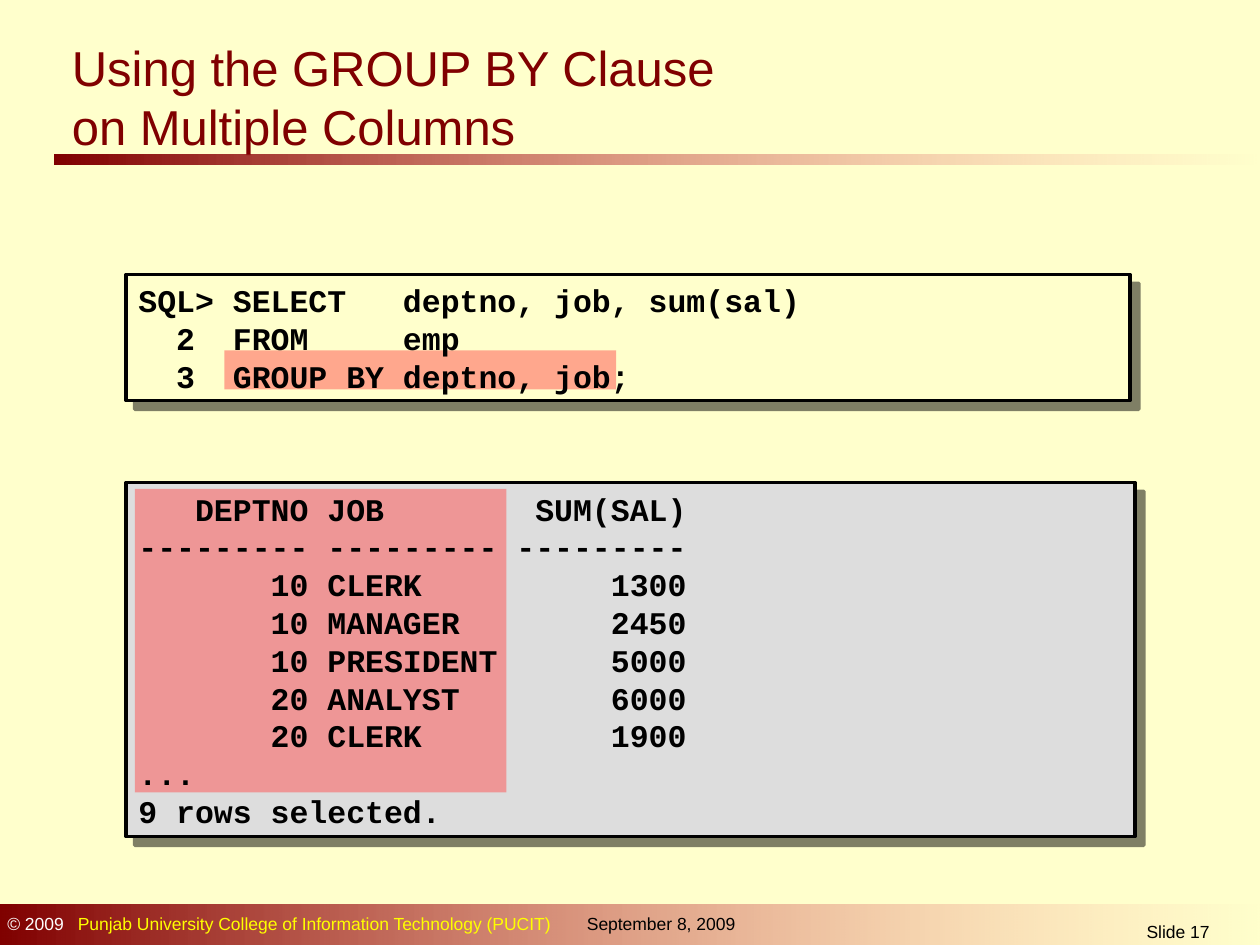
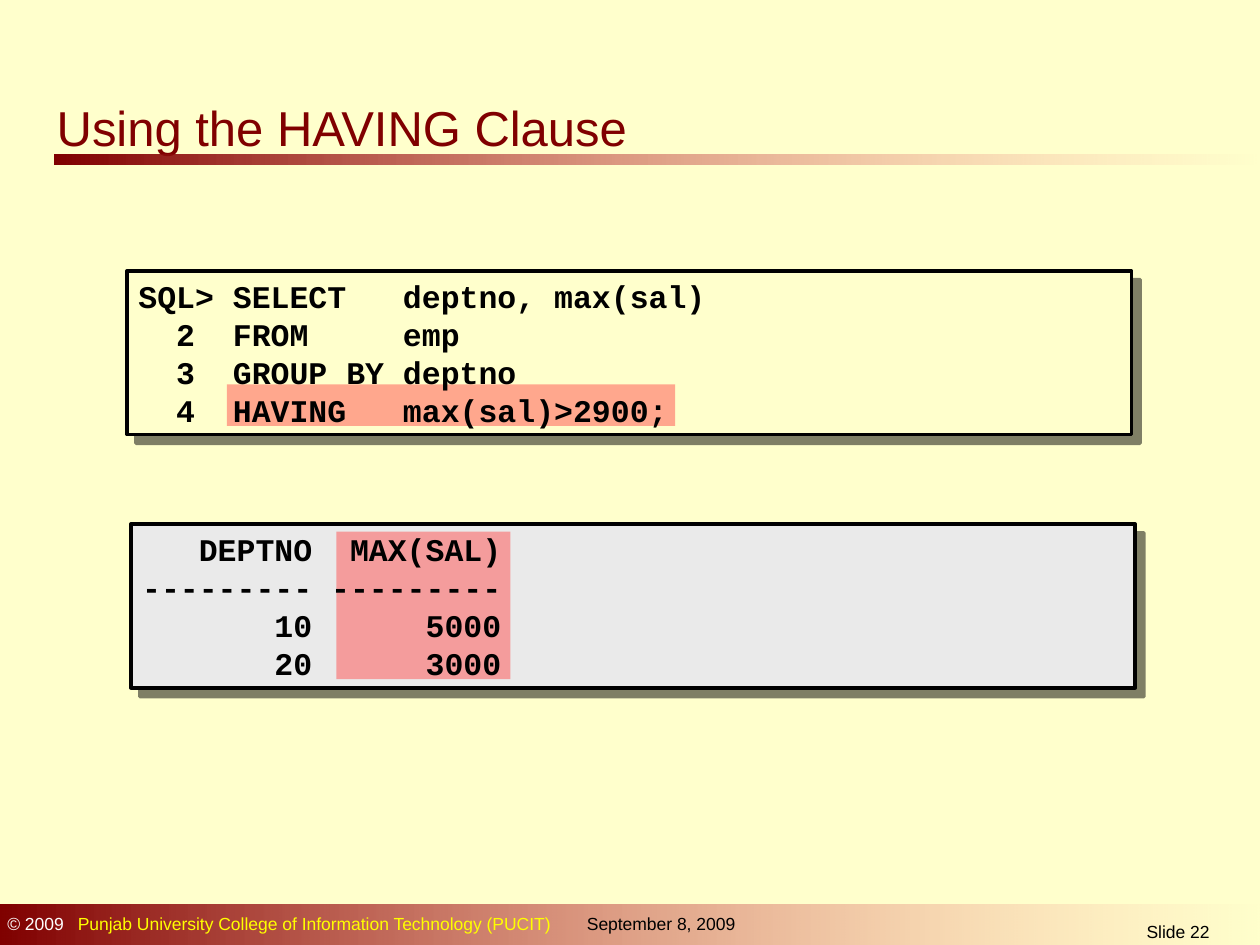
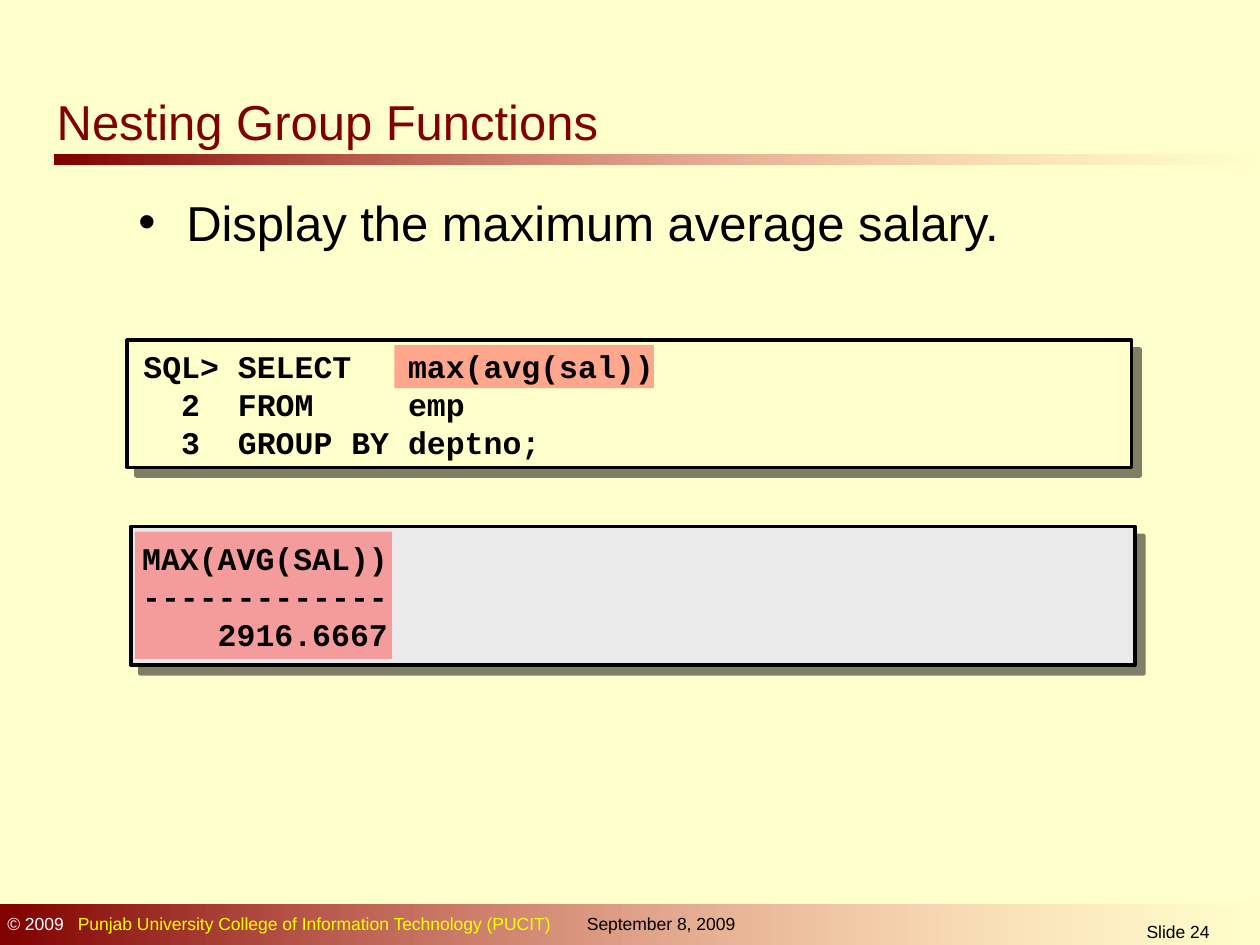
from lxml import etree
from pptx import Presentation
from pptx import util as u
from pptx.dml.color import RGBColor
from pptx.enum import shapes, text
from pptx.oxml.ns import qn

PX = 9144
CREAM, MAROON, ROSE = "FFFFCC", "800000", "FF8585"
BLACK, WHITE, YELLOW, RED = "000000", "FFFFFF", "FFFF00", "FF5050"
SILVER, PALE_GREY = "DDDDDD", "EAEAEA"
HEADING_SIZE, CODE_SIZE, FOOTER_SIZE = 28, 18, 10

SLIDES = [
    dict(
        number=17,
        title="Using the GROUP BY Clause\von Multiple Columns",
        title_box=(47, 25, 905, 133),
        panels=[
            dict(box=(100, 218, 797, 100), fill=CREAM, mark=(78, 60, 311, 31), code=[
                "SQL> SELECT   deptno, job, sum(sal)",
                "  2  FROM     emp",
                "  3  GROUP BY deptno, job;"]),
            dict(box=(100, 383, 801, 281), fill=SILVER, mark=(7, 5, 295, 241), code=[
                "   DEPTNO JOB        SUM(SAL)",
                "--------- --------- ---------",
                "       10 CLERK          1300",
                "       10 MANAGER        2450",
                "       10 PRESIDENT      5000",
                "       20 ANALYST        6000",
                "       20 CLERK          1900",
                "...",
                "9 rows selected."]),
        ]),
    dict(
        number=22,
        title="Using the HAVING Clause",
        title_box=(35, 72, 484, 59),
        panels=[
            dict(box=(101, 215, 797, 130), fill=CREAM, mark=(79, 90, 356, 33), shift=-1, code=[
                "SQL> SELECT   deptno, max(sal)",
                "  2  FROM     emp",
                "  3  GROUP BY deptno",
                "  4  HAVING   max(sal)>2900;"]),
            dict(box=(104, 416, 797, 130), fill=PALE_GREY, mark=(163, 6, 138, 117), shift=-1, code=[
                "   DEPTNO  MAX(SAL)",
                "--------- ---------",
                "       10      5000",
                "       20      3000"]),
        ]),
    dict(
        number=24,
        title="Nesting Group Functions",
        title_box=(35, 68, 460, 59),
        bullet="Display the maximum average salary.",
        panels=[
            dict(box=(101, 270, 797, 101), fill=CREAM, mark=(212, 4, 206, 34), shift=3, code=[
                "SQL> SELECT   max(avg(sal))",
                "  2  FROM     emp",
                "  3  GROUP BY deptno;"]),
            dict(box=(104, 418, 797, 110), fill=PALE_GREY, mark=(3, 4, 204, 101), shift=-1, code=[
                "MAX(AVG(SAL))",
                "-------------",
                "    2916.6667"]),
        ]),
]


def rgb(value):
    """Turn a hex string into a colour."""
    return RGBColor.from_string(value)


def emu(box):
    """Scale a px box to EMU lengths."""
    return [u.Emu(length * PX) for length in box]


def add_alpha(colour, percent):
    """Set the opacity of a colour element."""
    etree.SubElement(colour, qn("a:alpha"), val=str(percent * 1000))


def format_run(run, size, colour, font, bold):
    """Give one run its font."""
    run.font.size, run.font.bold, run.font.name = u.Pt(size), bold, font
    run.font.color.rgb = rgb(colour)


def write(frame, lines, size=FOOTER_SIZE, colour=BLACK, font="Arial", bold=False,
          align=text.PP_ALIGN.LEFT, anchor=text.MSO_ANCHOR.TOP):
    """Fill a text frame with formatted lines."""
    frame.word_wrap, frame.auto_size = True, text.MSO_AUTO_SIZE.NONE
    frame.vertical_anchor = anchor
    for index, line in enumerate(lines):
        paragraph = frame.paragraphs[0] if index == 0 else frame.add_paragraph()
        paragraph.text, paragraph.alignment = line, align
        for run in paragraph.runs:
            format_run(run, size, colour, font, bold)
    return frame.paragraphs[0]


def add_text(slide, box, lines, **style):
    """Add a text box and return its first paragraph."""
    return write(slide.shapes.add_textbox(*emu(box)).text_frame, lines, **style)


def add_rectangle(slide, box):
    """Add a rectangle without line or shadow."""
    rectangle = slide.shapes.add_shape(shapes.MSO_SHAPE.RECTANGLE, *emu(box))
    rectangle.shadow.inherit = False
    rectangle.line.fill.background()
    return rectangle


def add_band(slide, box):
    """Add a band that fades out to the right."""
    band = add_rectangle(slide, box)
    band.fill.gradient()
    band.fill.gradient_angle = 0
    for stop, colour in zip(band.fill.gradient_stops, (MAROON, ROSE)):
        stop.color.rgb = rgb(colour)
    add_alpha(list(band._element.spPr.iter(qn("a:srgbClr")))[-1], 0)


def add_footer(slide, box, number):
    """Add the footer band with owner, date and slide number."""
    left, top, _, _ = box
    add_band(slide, box)
    owner = add_text(slide, (left - 4, top + 2, 646, 27), ["© 2009"], colour=WHITE)
    tabs = etree.SubElement(owner._p.get_or_add_pPr(), qn("a:tabLst"))
    etree.SubElement(tabs, qn("a:tab"), pos=str(56 * PX), algn="l")
    college = owner.add_run()
    college.text = "\tPunjab University College of Information Technology (PUCIT)"
    format_run(college, FOOTER_SIZE, YELLOW, "Arial", False)
    add_text(slide, (left + 456, top + 2, 154, 27), ["September 8, 2009"])
    add_text(slide, (left + 831, top + 8, 208, 24), [f"Slide {number}"],
             align=text.PP_ALIGN.CENTER)


def add_title(slide, box, title):
    """Place and format the title placeholder."""
    heading = slide.shapes.title
    heading.left, heading.top, heading.width, heading.height = emu(box)
    write(heading.text_frame, [title], size=HEADING_SIZE, colour=MAROON)


def add_bullet(slide, box, line):
    """Add one bulleted line."""
    paragraph = add_text(slide, box, [line], size=HEADING_SIZE)
    properties = paragraph._p.get_or_add_pPr()
    properties.set("marL", str(38 * PX))
    properties.set("indent", str(-38 * PX))
    etree.SubElement(properties, qn("a:buFont"), typeface="Arial")
    etree.SubElement(properties, qn("a:buChar"), char="•")


def add_code_panel(slide, box, fill, mark, code, shift=0):
    """Add a shadowed panel, its highlight and the code over both."""
    left, top, _, height = box
    panel = add_rectangle(slide, box)
    panel.fill.solid()
    panel.fill.fore_color.rgb = rgb(fill)
    panel.line.color.rgb, panel.line.width = rgb(BLACK), u.Pt(2)
    shadow = etree.SubElement(panel._element.spPr.find(qn("a:effectLst")), qn("a:outerShdw"),
                              dist=str(u.Pt(7.1)), dir="2700000", algn="ctr", rotWithShape="0")
    add_alpha(etree.SubElement(shadow, qn("a:srgbClr"), val=BLACK), 50)

    mark_left, mark_top, *mark_size = mark
    highlight = add_rectangle(slide, (left + mark_left, top + mark_top, *mark_size))
    highlight.fill.solid()
    highlight.fill.fore_color.rgb = rgb(RED)
    add_alpha(next(highlight._element.spPr.iter(qn("a:srgbClr"))), 50)

    add_text(slide, (left + shift, top, 800, height), code, size=CODE_SIZE,
             font="Courier New", bold=True, anchor=text.MSO_ANCHOR.MIDDLE)


def add_sql_slide(deck, number, title, title_box, panels, bullet=None):
    """Add a slide with a query panel and a result panel."""
    slide = deck.slides.add_slide(deck.slide_layouts[5])
    add_band(slide, (43, 123, 957, 8))
    add_footer(slide, (0, 718, 1003, 35), number)
    add_title(slide, title_box, title)
    if bullet:
        add_bullet(slide, (100, 148, 842, 57), bullet)
    for panel in panels:
        add_code_panel(slide, **panel)


def main():
    """Build and save the deck."""
    deck = Presentation()
    deck.slide_width, deck.slide_height = emu((1000, 750))
    background = deck.slide_master.background.fill
    background.solid()
    background.fore_color.rgb = rgb(CREAM)
    for content in SLIDES:
        add_sql_slide(deck, **content)
    deck.save("out.pptx")


if __name__ == "__main__":
    main()
